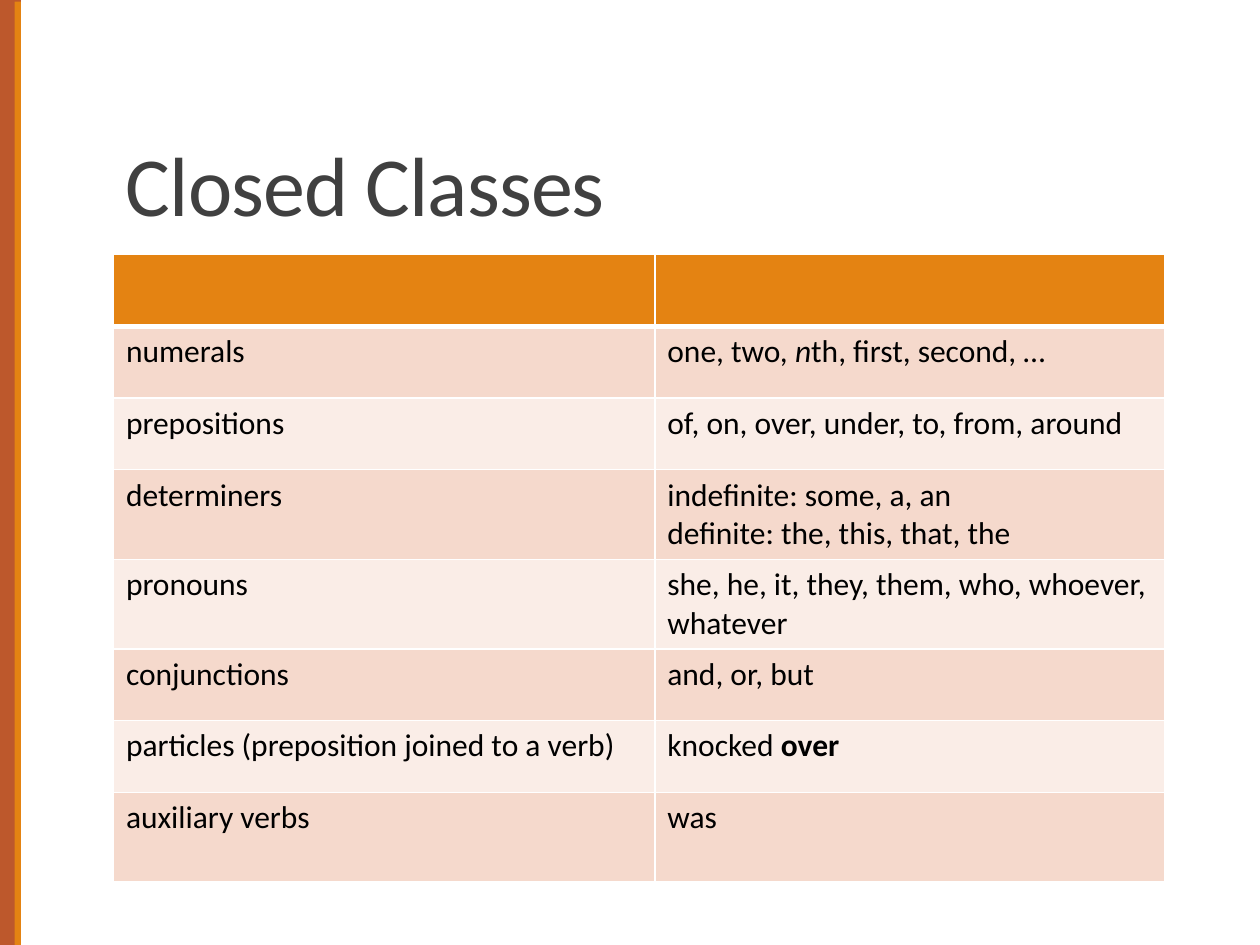
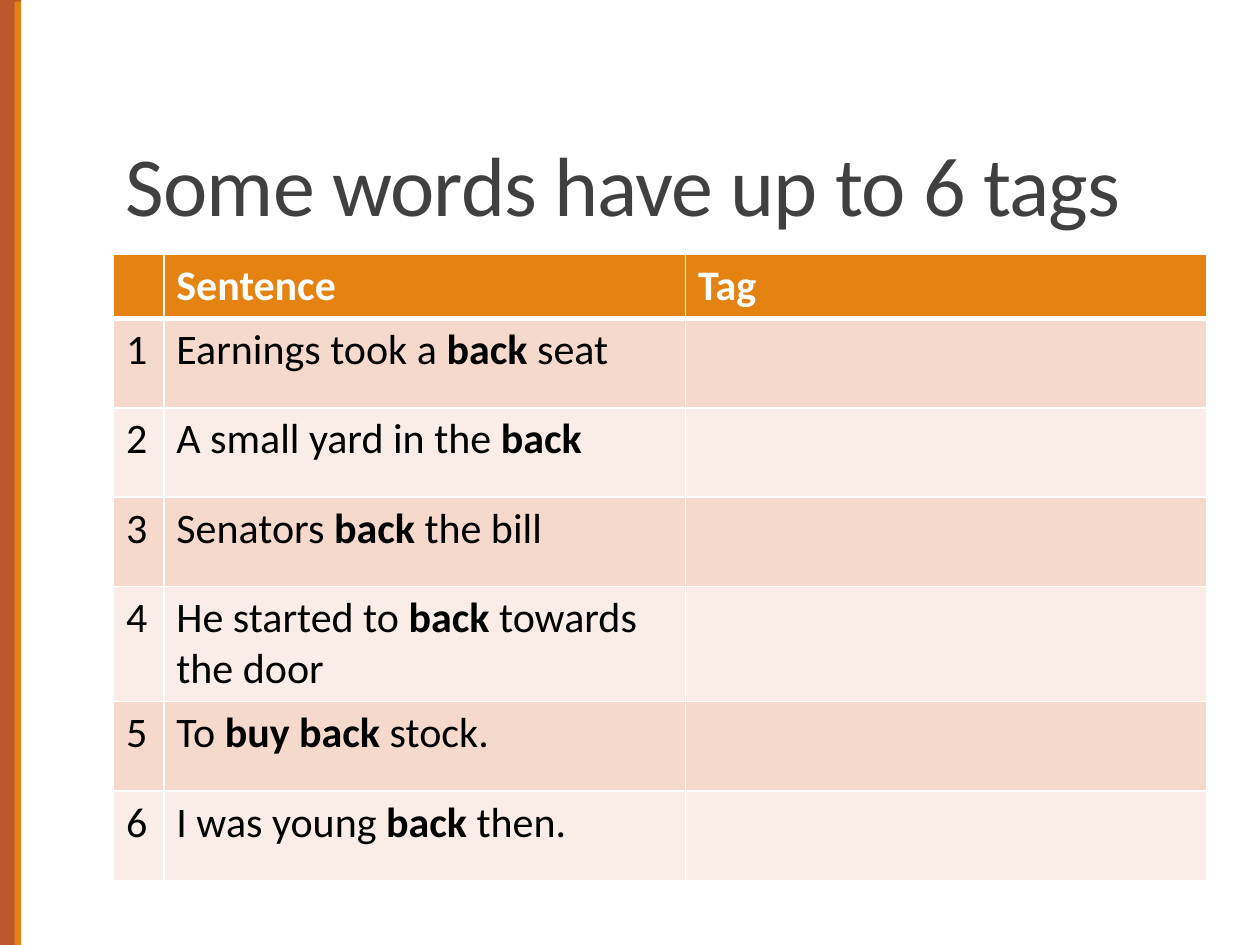
"""Builds two slides on closed word classes and words with several tags."""
import pptx
import pptx.dml.color
import pptx.enum.shapes
import pptx.enum.text
import pptx.oxml
import pptx.oxml.ns
import pptx.util

Pt = pptx.util.Pt
FONT = "Calibri"
COLOURS = {
    "rust": "BD582C",
    "orange": "E48312",
    "title": "404040",
    "text": "000000",
    "white": "FFFFFF",
    "dark_band": "F5D9CC",
    "light_band": "FAEDE7",
}
SLIDE_BOX = (0, 0, 720, 540)
TITLE_BOX = (64.8, 22.3, 594, 114.5)
TABLE_CORNER = (64.8, 145.44)

CLOSED_CLASSES = [
    ("numerals", [("one, two, ", ""), ("n", "italic"), ("th, first, second, …", "")]),
    ("prepositions", [("of, on, over, under, to, from, around", "")]),
    ("determiners", [("indefinite: some, a, an\ndefinite: the, this, that, the", "")]),
    ("pronouns", [("she, he, it, they, them, who, whoever, whatever", "")]),
    ("conjunctions", [("and, or, but", "")]),
    ("particles (preposition joined to a verb)", [("knocked ", ""), ("over", "bold")]),
    ("auxiliary verbs", [("was", "")]),
]
BACK_SENTENCES = [
    ("Earnings took a ", "back", " seat"),
    ("A small yard in the ", "back", ""),
    ("Senators ", "back", " the bill"),
    ("He started to ", "back", " towards the door"),
    ("To ", "buy back", " stock."),
    ("I was young ", "back", " then."),
]


def colour(name):
    return pptx.dml.color.RGBColor.from_string(COLOURS[name])


def add_run(paragraph, text, size, colour_name, style=""):
    run = paragraph.add_run()
    run.text = text
    run.font.name = FONT
    run.font.size = Pt(size)
    run.font.color.rgb = colour(colour_name)
    run.font.bold = style == "bold"
    run.font.italic = style == "italic"
    return run


def add_bar(slide, left, top, width, height, colour_name):
    shape = slide.shapes.add_shape(
        pptx.enum.shapes.MSO_SHAPE.RECTANGLE, Pt(left), Pt(top), Pt(width), Pt(height))
    shape.shadow.inherit = False
    shape.fill.solid()
    shape.fill.fore_color.rgb = colour(colour_name)
    shape.line.fill.background()


def add_side_bands(slide, box):
    left, top, width, height = box
    add_bar(slide, left, top, 12, height, "rust")
    add_bar(slide, left + 8.4, top + 1, 3.6, height - 1, "orange")


def add_title(slide, box, text):
    shape = slide.shapes.add_textbox(*map(Pt, box))
    frame = shape.text_frame
    frame.word_wrap = True
    frame.vertical_anchor = pptx.enum.text.MSO_ANCHOR.BOTTOM
    paragraph = frame.paragraphs[0]
    paragraph.line_spacing = 0.85
    run = add_run(paragraph, text, 48, "title")
    run.font._element.set("spc", "-50")


def set_borders(cell, top, bottom):
    properties = cell._tc.get_or_add_tcPr()
    for side, width in (("L", 1), ("R", 1), ("T", top), ("B", bottom)):
        properties.append(pptx.oxml.parse_xml(
            f'<a:ln{side} {pptx.oxml.ns.nsdecls("a")} w="{Pt(width)}"><a:solidFill>'
            f'<a:srgbClr val="{COLOURS["white"]}"/></a:solidFill></a:ln{side}>'))


def fill_cell(cell, runs, size, row_index):
    is_header = row_index == 0
    set_borders(cell, 3 if row_index == 1 else 1, 3 if is_header else 1)
    cell.fill.solid()
    band = "dark_band" if row_index % 2 else "light_band"
    cell.fill.fore_color.rgb = colour("orange" if is_header else band)
    paragraph = cell.text_frame.paragraphs[0]
    for text, style in runs:
        for line_index, line in enumerate(text.split("\n")):
            if line_index:
                paragraph.add_line_break()
            add_run(paragraph, line, size, "white" if is_header else "text", style)


def add_word_table(slide, corner, widths, heights, rows, size):
    left, top = corner
    frame = slide.shapes.add_table(
        len(rows), len(widths), Pt(left), Pt(top), Pt(sum(widths)), Pt(sum(heights)))
    table = frame.table
    for column, width in zip(table.columns, widths):
        column.width = Pt(width)
    for row_index, (height, cells) in enumerate(zip(heights, rows)):
        table.rows[row_index].height = Pt(height)
        for column_index, runs in enumerate(cells):
            fill_cell(table.cell(row_index, column_index), runs, size, row_index)


def add_table_slide(presentation, title, widths, heights, rows, size):
    slide = presentation.slides.add_slide(presentation.slide_layouts[6])
    add_side_bands(slide, SLIDE_BOX)
    add_title(slide, TITLE_BOX, title)
    add_word_table(slide, TABLE_CORNER, widths, heights, rows, size)


def add_closed_classes(presentation):
    rows = [([], [])] + [([(name, "")], examples) for name, examples in CLOSED_CLASSES]
    heights = [41, 41, 41, 51.2, 51.2, 41, 41, 51.2]
    add_table_slide(presentation, "Closed Classes", [309.4, 291.6], heights, rows, 18)


def add_back_tags(presentation):
    rows = [([], [("Sentence", "bold")], [("Tag", "bold")])]
    for number, (before, word, after) in enumerate(BACK_SENTENCES, 1):
        parts = [(before, ""), (word, "bold"), (after, "")]
        rows.append(([(str(number), "")], [part for part in parts if part[0]], []))
    heights = [36.5, 51.1, 51.1, 51.1, 65.8, 51.1, 51.1]
    add_table_slide(
        presentation, "Some words have up to 6 tags", [28.8, 298.1, 298.1], heights, rows, 24)


def main():
    presentation = pptx.Presentation()
    presentation.slide_width, presentation.slide_height = map(Pt, SLIDE_BOX[2:])
    add_closed_classes(presentation)
    add_back_tags(presentation)
    presentation.save("out.pptx")


if __name__ == "__main__":
    main()
